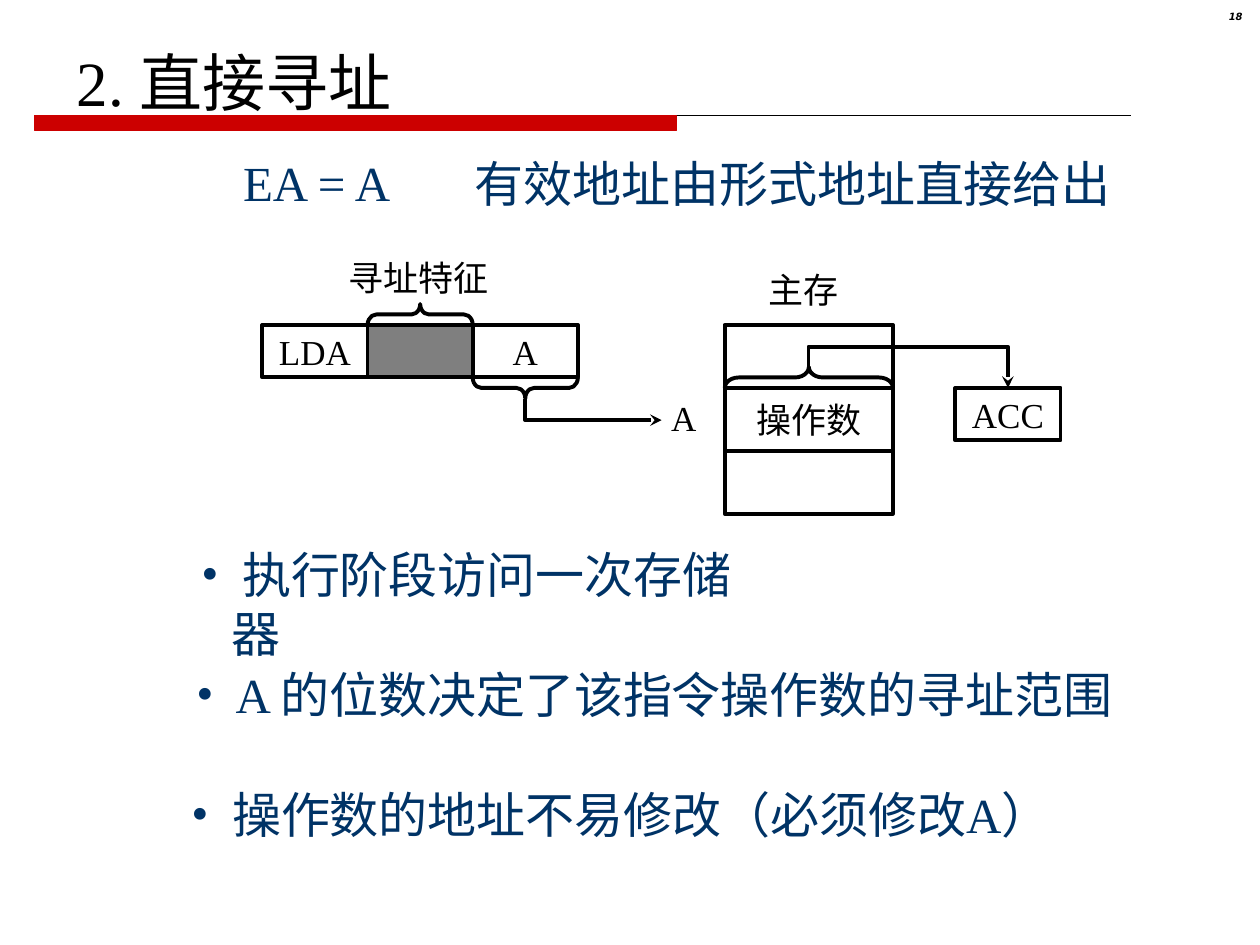
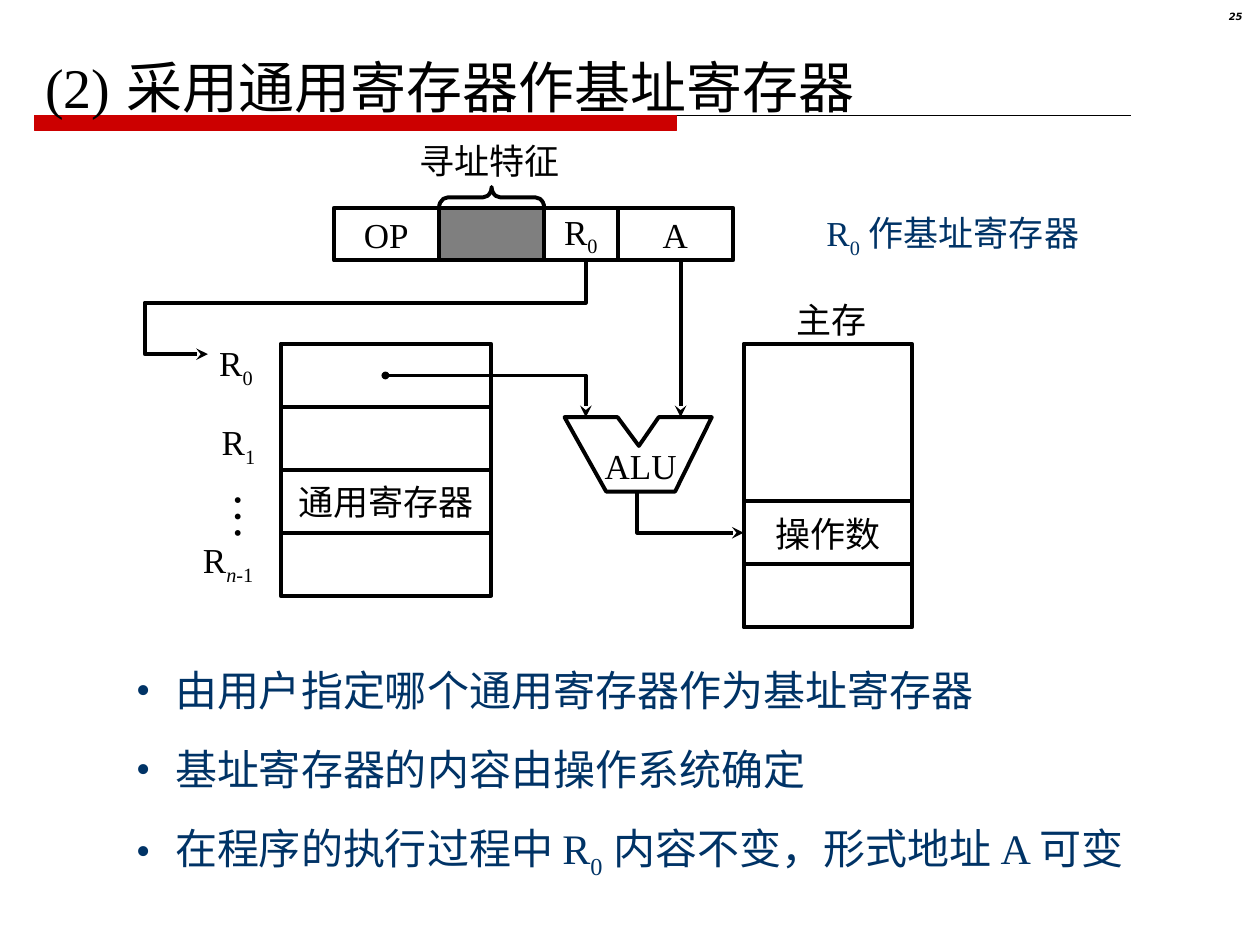
from dataclasses import dataclass
from typing import Optional

from lxml import etree
from pptx import Presentation
from pptx.dml.color import RGBColor
from pptx.enum.shapes import MSO_CONNECTOR, MSO_SHAPE
from pptx.enum.text import MSO_ANCHOR, MSO_AUTO_SIZE, PP_ALIGN
from pptx.oxml.ns import qn
from pptx.util import Cm, Pt

BLACK = RGBColor(0x00, 0x00, 0x00)
NAVY = RGBColor(0x00, 0x33, 0x66)
RED = RGBColor(0xCC, 0x00, 0x00)

BODY_FONT = "Times New Roman"
NUMBER_FONT = "DejaVu Sans"

RECTANGLE = MSO_SHAPE.RECTANGLE
LEFT_BRACE = MSO_SHAPE.LEFT_BRACE
STRAIGHT = MSO_CONNECTOR.STRAIGHT
MIDDLE = MSO_ANCHOR.MIDDLE
FIT_TEXT = MSO_AUTO_SIZE.SHAPE_TO_FIT_TEXT
CENTER = PP_ALIGN.CENTER
RIGHT = PP_ALIGN.RIGHT

FIELD_WIDTH = 2.12
FIELD_HEIGHT = 1.06
CELL_HEIGHT = 1.27
MEMORY_WIDTH = 3.39
MEMORY_TITLE_WIDTH = 2
REGISTER_LABEL_WIDTH = 1.3
BRACE_DEPTH = 0.42
BRACE_UP = 90
BRACE_DOWN = 270
BULLET_INDENT = 0.6


@dataclass
class Piece:
    text: str
    baseline: int = 0
    italic: bool = False
    size: Optional[float] = None


def sub(text, italic=False):
    return Piece(text, -25000, italic)


def write(paragraph, content, size, color, font=BODY_FONT):
    pieces = [Piece(content)] if isinstance(content, str) else content
    for piece in pieces:
        run = paragraph.add_run()
        run.text = piece.text
        run.font.name = font
        run.font.size = Pt(piece.size or size)
        run.font.color.rgb = color
        if piece.italic:
            run.font.italic = True
        if piece.baseline:
            run.font._element.set("baseline", str(piece.baseline))


def add_text(slide, content, left, top, width, height=1.12, size=20,
             color=BLACK, wrap=False):
    frame = slide.shapes.add_textbox(
        Cm(left), Cm(top), Cm(width), Cm(height)).text_frame
    frame.word_wrap = wrap
    frame.auto_size = FIT_TEXT
    write(frame.paragraphs[0], content, size, color)
    return frame


def add_bullet(slide, content, left, top, width, size):
    frame = add_text(slide, [], left, top, width, 1.4, size, NAVY, wrap=True)
    paragraph = frame.paragraphs[0]
    properties = paragraph._p.get_or_add_pPr()
    properties.set("marL", str(Cm(BULLET_INDENT)))
    properties.set("indent", str(-Cm(BULLET_INDENT)))
    bullet_color = etree.SubElement(properties, qn("a:buClr"))
    etree.SubElement(bullet_color, qn("a:srgbClr"), val=str(NAVY))
    etree.SubElement(properties, qn("a:buFont"), typeface=BODY_FONT)
    etree.SubElement(properties, qn("a:buChar"), char="•")
    write(paragraph, content, size, NAVY)


def outline(shape, weight=2.25):
    shape.line.color.rgb = BLACK
    shape.line.width = Pt(weight)


def outline_shape(shape):
    shape.shadow.inherit = False
    shape.fill.background()
    outline(shape)
    return shape


def add_arrowheads(shape, head=None):
    line = shape._element.spPr.find(qn("a:ln"))
    if head:
        etree.SubElement(line, qn("a:headEnd"), type=head, w="sm", len="sm")
    etree.SubElement(line, qn("a:tailEnd"), type="stealth")


def add_box(slide, label, left, top, width, height):
    box = outline_shape(slide.shapes.add_shape(
        RECTANGLE, Cm(left), Cm(top), Cm(width), Cm(height)))
    if label:
        frame = box.text_frame
        frame.word_wrap = False
        frame.vertical_anchor = MIDDLE
        frame.paragraphs[0].alignment = CENTER
        write(frame.paragraphs[0], label, 20, BLACK)
    return box


def add_instruction(slide, left, top, fields):
    for label, width in fields:
        field = add_box(slide, label, left, top, width, FIELD_HEIGHT)
        if not label:
            field.fill.solid()
            field.fill.fore_color.rgb = BLACK
            shade = field._element.spPr.find(qn("a:solidFill"))[0]
            etree.SubElement(shade, qn("a:alpha"), val="50000")
        left += width


def add_column(slide, left, top, width, cells):
    for label, height in cells:
        add_box(slide, label, left, top, width, height)
        top += height


def add_brace(slide, left, top, span, rotation, curve=0.42):
    shift = (span - BRACE_DEPTH) / 2
    brace = outline_shape(slide.shapes.add_shape(
        LEFT_BRACE, Cm(left + shift), Cm(top - shift),
        Cm(BRACE_DEPTH), Cm(span)))
    brace.rotation = rotation
    brace.adjustments[0] = curve


def add_path(slide, points, close=False):
    start, *rest = [(Cm(x), Cm(y)) for x, y in points]
    builder = slide.shapes.build_freeform(*start)
    builder.add_line_segments(rest, close=close)
    return outline_shape(builder.convert_to_shape())


def add_route(slide, points, head=None):
    add_arrowheads(add_path(slide, points), head)


def add_line(slide, x1, y1, x2, y2, weight=2.25):
    line = slide.shapes.add_connector(STRAIGHT, Cm(x1), Cm(y1), Cm(x2), Cm(y2))
    outline(line, weight)
    etree.SubElement(line._element.spPr, qn("a:effectLst"))
    return line


def add_frame(deck, number, title, left, top, width, size):
    slide = deck.slides.add_slide(deck.slide_layouts[6])
    add_line(slide, 0.7, 2.32, 22.8, 2.32, 0.25)
    band = slide.shapes.add_shape(
        RECTANGLE, Cm(0.7), Cm(2.32), Cm(12.93), Cm(0.3))
    band.shadow.inherit = False
    band.fill.solid()
    band.fill.fore_color.rgb = RED
    band.line.color.rgb = RED
    band.line.width = Pt(0.25)

    page = slide.shapes.add_textbox(Cm(23.8), Cm(0.13), Cm(1.5), Cm(0.58))
    page.text_frame.word_wrap = True
    paragraph = page.text_frame.paragraphs[0]
    paragraph.alignment = RIGHT
    paragraph.line_spacing = 0.8
    write(paragraph, number, 5.7, BLACK, NUMBER_FONT)
    paragraph.runs[0].font.bold = True
    paragraph.runs[0].font.italic = True

    add_text(slide, title, left, top, width, 1.78, size)
    return slide


def build_direct_addressing(deck):
    slide = add_frame(deck, "18", "2. 直接寻址", 1.3, 0.76, 7.16, 36)
    add_text(slide, "EA = A", 4.65, 2.95, 3.58, 1.45, 28, NAVY)
    add_text(slide, "有效地址由形式地址直接给出",
             9.32, 2.97, 14.6, 1.45, 28, NAVY, wrap=True)

    memory_left, row_top = 14.61, 6.55
    operand_top = row_top + CELL_HEIGHT
    add_column(slide, memory_left, row_top, MEMORY_WIDTH,
               [(label, CELL_HEIGHT) for label in ("", "操作数", "")])
    add_text(slide, "主存", 15.24, 5.28, MEMORY_TITLE_WIDTH)

    instruction_left = 5.29
    mode_left = instruction_left + FIELD_WIDTH
    address_left = mode_left + FIELD_WIDTH
    add_brace(slide, mode_left, row_top - BRACE_DEPTH, FIELD_WIDTH, BRACE_UP)
    add_text(slide, "寻址特征", 6.78, 5.05, 3.33)
    add_instruction(slide, instruction_left, row_top,
                    [(label, FIELD_WIDTH) for label in ("LDA", "", "A")])
    add_brace(slide, address_left, row_top + FIELD_HEIGHT,
              FIELD_WIDTH, BRACE_DOWN)
    add_route(slide, [(10.59, 8.04), (10.59, 8.47), (13.34, 8.47)])
    add_text(slide, "A", 13.28, 7.87, 1.02)

    add_brace(slide, memory_left, operand_top - BRACE_DEPTH,
              MEMORY_WIDTH, BRACE_UP, 0.67)
    add_box(slide, "ACC", 19.26, operand_top, FIELD_WIDTH, FIELD_HEIGHT)
    add_route(slide, [(16.3, 7.4), (16.3, 6.99),
                      (20.32, 6.99), (20.32, operand_top)])

    remarks = [(" 执行阶段访问一次存储器", 11.91),
               (" A 的位数决定了该指令操作数的寻址范围", 19.05),
               (" 操作数的地址不易修改（必须修改A）", 18.03)]
    for row, (remark, width) in enumerate(remarks):
        add_bullet(slide, remark, 3.81 - 0.1 * row, 10.85 + 2.42 * row,
                   width, 28)


def build_base_register(deck):
    title = [Piece("(2)"), Piece(" ", size=36), Piece("采用通用寄存器作基址寄存器")]
    slide = add_frame(deck, "25", title, 0.66, 0.79, 17.15, 32)
    register_zero = [Piece("R"), sub("0")]

    memory_left, column_top = 14.99, 6.93
    add_column(slide, memory_left, column_top, MEMORY_WIDTH,
               [("", 3.18), ("操作数", CELL_HEIGHT), ("", CELL_HEIGHT)])
    add_text(slide, "主存", 15.8, 5.89, MEMORY_TITLE_WIDTH)

    instruction_left, instruction_top = 6.73, 4.19
    instruction_bottom = instruction_top + FIELD_HEIGHT
    add_brace(slide, instruction_left + FIELD_WIDTH,
              instruction_top - BRACE_DEPTH, FIELD_WIDTH, BRACE_UP)
    add_text(slide, "寻址特征", 8.2, 2.69, 3.33)
    add_instruction(slide, instruction_left, instruction_top,
                    [("OP", FIELD_WIDTH), ("", FIELD_WIDTH),
                     (register_zero, 1.48), ("A", 2.33)])
    add_text(slide, register_zero + [Piece(" 作基址寄存器")],
             16.41, 4.14, 5.77, 1.22, color=NAVY)

    alu_top, alu_bottom = 8.41, 9.91
    add_path(slide, [(11.38, alu_top), (12.45, alu_top), (12.88, 8.99),
                     (13.28, alu_top), (14.35, alu_top),
                     (13.61, alu_bottom), (12.22, alu_bottom)], close=True)
    add_text(slide, "ALU", 11.94, 8.84, 1.96)

    add_column(slide, 5.66, column_top, 4.24,
               [(label, CELL_HEIGHT) for label in ("", "", "通用寄存器", "")])
    add_text(slide, register_zero, 4.17, 6.76, REGISTER_LABEL_WIDTH, 1.22)
    add_text(slide, [Piece("R"), sub("1")],
             4.22, 8.36, REGISTER_LABEL_WIDTH, 1.22)
    add_text(slide, [Piece("R"), sub("n", True), sub("-1")],
             3.84, 10.74, 1.52, 1.22)
    dots = add_text(slide, "…", 4.19, 9.68, 1.68, 1.47, 28, wrap=True)
    dots._txBody.bodyPr.set("vert", "eaVert")
    dots.margin_left = dots.margin_right = Cm(0.13)
    dots.margin_top = dots.margin_bottom = Cm(0.25)

    add_arrowheads(add_line(slide, 13.72, instruction_bottom, 13.72, alu_top))
    add_route(slide, [(11.81, instruction_bottom), (11.81, 6.1), (2.92, 6.1),
                      (2.92, 7.14), (4.19, 7.14)])
    add_route(slide, [(7.77, 7.57), (11.81, 7.57), (11.81, alu_top)], "oval")
    add_route(slide, [(12.85, alu_bottom), (12.85, 10.74),
                      (memory_left, 10.74)])

    remarks = [(" 由用户指定哪个通用寄存器作为基址寄存器", 19.89),
               (" 基址寄存器的内容由操作系统确定", 16.08),
               ([Piece(" 在程序的执行过程中 R"), sub("0"),
                 Piece(" 内容不变，形式地址 A 可变")], 21.16)]
    for row, (remark, width) in enumerate(remarks):
        add_bullet(slide, remark, 2.49, 13.28 + 1.59 * row, width, 24)


def main():
    deck = Presentation()
    deck.slide_width = Cm(25.4)
    deck.slide_height = Cm(19.05)
    build_direct_addressing(deck)
    build_base_register(deck)
    deck.save("out.pptx")


if __name__ == "__main__":
    main()
